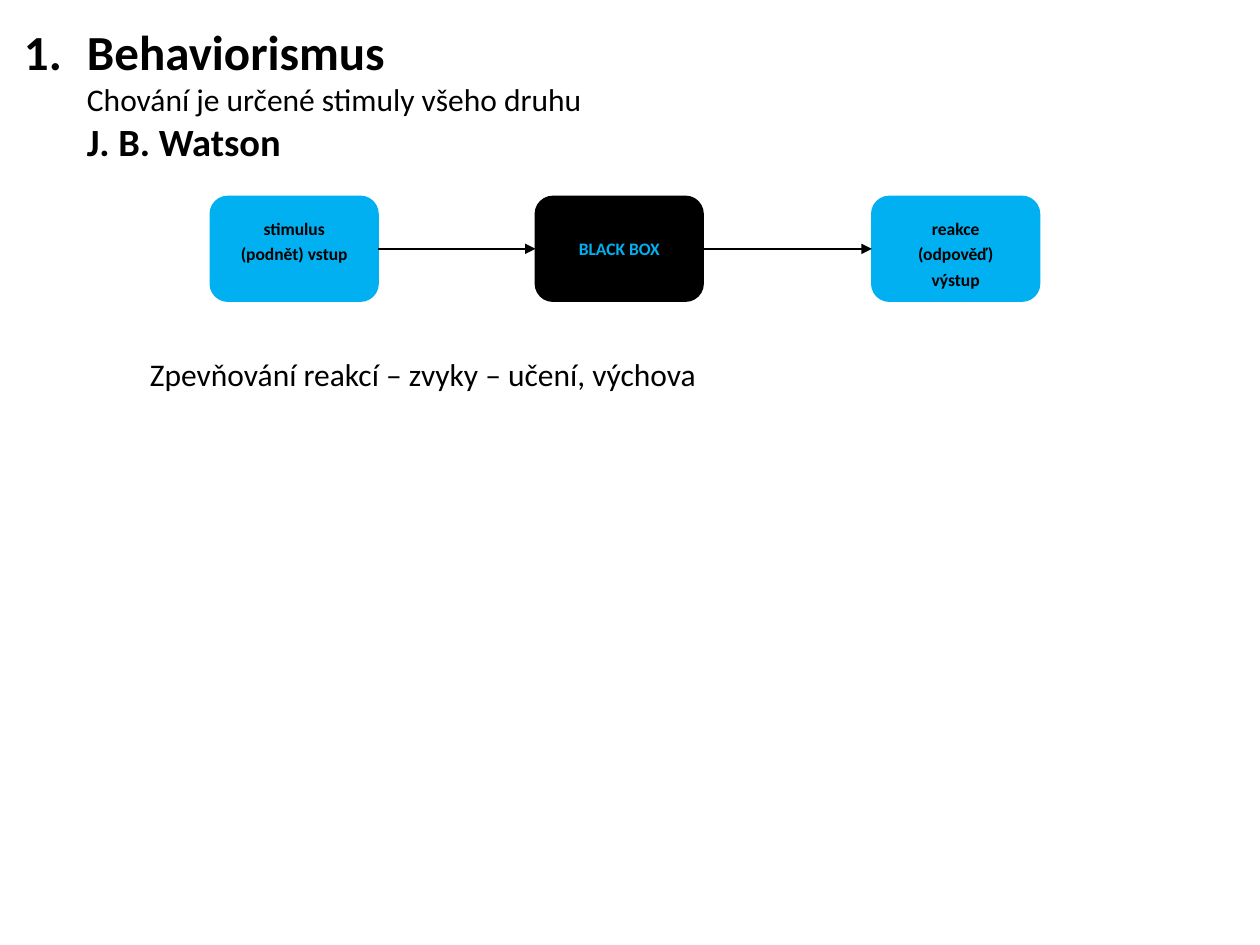
from pptx import Presentation
from pptx.dml.color import RGBColor
from pptx.enum.shapes import MSO_CONNECTOR as CONNECTOR, MSO_SHAPE as SHAPE
from pptx.enum.text import PP_ALIGN as ALIGN
from pptx.oxml.ns import qn
from pptx.util import Inches, Pt
from lxml.etree import SubElement

BLACK, BLUE = "000000", "00B0F0"
BOX_TOP, BOX_WIDTH, BOX_HEIGHT = 1.56, 1.33, 0.83
LABEL_WIDTH = 1.17


def color(value):
    return RGBColor.from_string(value)


def add_text(slide, left, top, width, height, lines, inset=None, **paragraph_format):
    """Add a text box; each line is (text, size, bold, colour)."""
    frame = slide.shapes.add_textbox(
        Inches(left), Inches(top), Inches(width), Inches(height)).text_frame
    frame.word_wrap = True
    if inset is not None:
        for side in ("left", "top", "right", "bottom"):
            setattr(frame, f"margin_{side}", Inches(inset))
    for index, (text, size, bold, ink) in enumerate(lines):
        paragraph = frame.add_paragraph() if index else frame.paragraphs[0]
        for name, value in paragraph_format.items():
            setattr(paragraph, name, value)
        run = paragraph.add_run()
        run.text = text
        font_format = {"name": "Calibri", "size": Pt(size), "bold": bold}
        for name, value in font_format.items():
            setattr(run.font, name, value)
        run.font.color.rgb = color(ink)
    return frame


def indent(paragraph, left, first=0, numbered=False):
    properties = paragraph._p.get_or_add_pPr()
    properties.set("marL", str(Inches(left)))
    properties.set("indent", str(Inches(first)))
    if numbered:
        SubElement(properties, qn("a:buFont"), typeface="+mj-lt")
        SubElement(properties, qn("a:buAutoNum"), type="arabicPeriod")


def add_box(slide, left, fill):
    box = slide.shapes.add_shape(
        SHAPE.ROUNDED_RECTANGLE, Inches(left), Inches(BOX_TOP),
        Inches(BOX_WIDTH), Inches(BOX_HEIGHT))
    box.shadow.inherit = False
    box.fill.solid()
    box.fill.fore_color.rgb = color(fill)
    box.line.color.rgb = color(fill)
    box.line.width = Pt(1)


def add_arrow(slide, start, end):
    middle = Inches(BOX_TOP + BOX_HEIGHT / 2)
    arrow = slide.shapes.add_connector(
        CONNECTOR.STRAIGHT, Inches(start), middle, Inches(end), middle)
    arrow.line.color.rgb = color(BLACK)
    arrow.line.width = Pt(1)
    SubElement(arrow.line._get_or_add_ln(), qn("a:tailEnd"), type="triangle")
    SubElement(arrow._element.spPr, qn("a:effectLst"))


def main():
    presentation = Presentation()
    presentation.slide_width = Inches(10)
    presentation.slide_height = Inches(7.5)
    slide = presentation.slides.add_slide(presentation.slide_layouts[6])

    # Numbered heading with its thesis and author
    heading = add_text(slide, 0.19, 0.17, 9.65, 1.15, [
        ("Behaviorismus", 28, True, BLACK),
        ("Chování je určené stimuly všeho druhu", 18, False, BLACK),
        ("J. B. Watson", 22, True, BLACK),
    ], inset=0)
    title, *details = heading.paragraphs
    indent(title, 0.5, -0.5, numbered=True)
    for detail in details:
        indent(detail, 0.5)

    # Stimulus, black box, reaction: box left, fill, label, its top, height, colour
    stages = [
        (1.67, BLUE, "stimulus (podnět) vstup", 1.65, 0.51, BLACK),
        (4.25, BLACK, "BLACK BOX", 1.81, 0.3, BLUE),
        (6.92, BLUE, "reakce (odpověď) výstup", 1.65, 0.71, BLACK),
    ]
    for left, fill, label, top, height, ink in stages:
        add_box(slide, left, fill)
        label_left = left + (BOX_WIDTH - LABEL_WIDTH) / 2
        add_text(slide, label_left, top, LABEL_WIDTH, height,
                 [(label, 10, True, ink)],
                 alignment=ALIGN.CENTER, line_spacing=1.2)

    # Arrows between neighbouring stages
    for stage, following in zip(stages, stages[1:]):
        add_arrow(slide, stage[0] + BOX_WIDTH, following[0])

    # Conclusion
    add_text(slide, 1.19, 2.82, 8.65, 0.31, [
        ("Zpevňování reakcí – zvyky – učení, výchova", 18, False, BLACK),
    ], inset=0)

    presentation.save("out.pptx")


if __name__ == "__main__":
    main()
